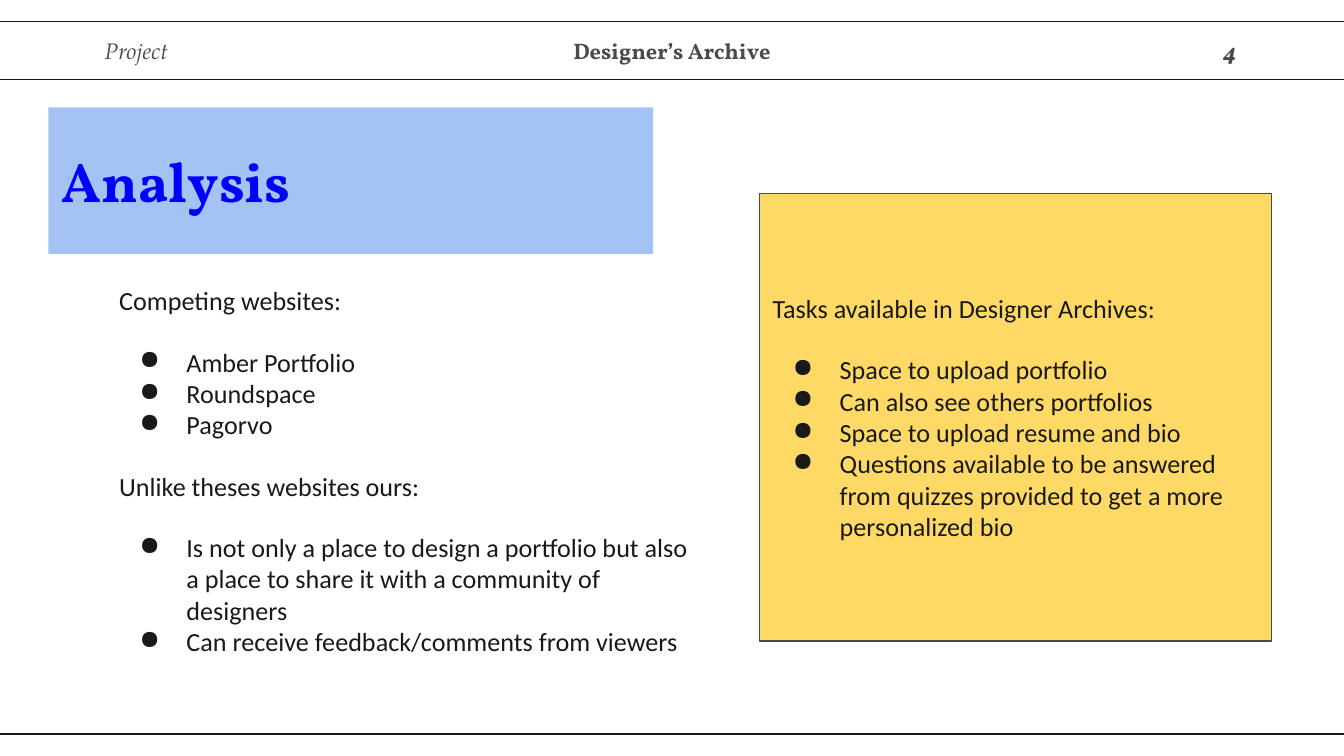
import pptx
import pptx.util
import pptx.dml.color
import pptx.enum.shapes
import pptx.enum.text
import lxml.etree

Pt = pptx.util.Pt
ALIGN = pptx.enum.text.PP_ALIGN
ANCHOR = pptx.enum.text.MSO_ANCHOR
BLACK, GREY = "191919", "4B4A4A"
BODY = {"name": "Calibri", "size": Pt(14)}
HEAD = {"name": "Vollkorn", "size": Pt(12), "bold": True}


def tint(code):
    return pptx.dml.color.RGBColor.from_string(code)


def apply(item, form):
    for key, value in form.items():
        setattr(item, key, value)


def add_box(slide, place, fill=None, line=None):
    kind = pptx.enum.shapes.MSO_SHAPE.RECTANGLE
    box = slide.shapes.add_shape(kind, *map(Pt, place))
    box.shadow.inherit = False
    if fill:
        box.fill.solid()
        box.fill.fore_color.rgb = tint(fill)
    else:
        box.fill.background()
    if line:
        box.line.color.rgb = tint(line)
        box.line.width = Pt(0.75)
    else:
        box.line.fill.background()
    return box


def add_area(slide, place):
    return slide.shapes.add_textbox(*map(Pt, place))


def set_frame(shape, anchor=ANCHOR.MIDDLE, top=7.2):
    frame = shape.text_frame
    apply(frame, {
        "word_wrap": True, "vertical_anchor": anchor,
        "margin_left": Pt(7.2), "margin_right": Pt(7.2),
        "margin_top": Pt(top), "margin_bottom": Pt(7.2),
    })
    return frame


def write(para, text, font, color, align=ALIGN.LEFT):
    para.alignment = align
    run = para.add_run()
    run.text = text
    apply(run.font, font)
    run.font.color.rgb = tint(color)


def add_dot(para):
    props = para._p.get_or_add_pPr()
    props.set("marL", str(Pt(36)))
    props.set("indent", str(Pt(-25.2)))
    space = "{http://schemas.openxmlformats.org/drawingml/2006/main}"
    color = lxml.etree.SubElement(props, space + "buClr")
    lxml.etree.SubElement(color, space + "srgbClr", val=BLACK)
    lxml.etree.SubElement(props, space + "buChar", char="●")


def write_lists(frame, groups):
    para = frame.paragraphs[0]
    for index, (lead, items) in enumerate(groups):
        if index:
            para = frame.add_paragraph()
            para.space_before = Pt(16)
        write(para, lead, BODY, BLACK)
        for order, item in enumerate(items):
            para = frame.add_paragraph()
            para.space_before = Pt(0 if order else 16)
            write(para, item, BODY, BLACK)
            add_dot(para)


def add_label(slide, left, width, text, font, align):
    frame = set_frame(add_area(slide, (left, 17.3, width, 19.4)))
    write(frame.paragraphs[0], text, font, GREY, align)


def main():
    deck = pptx.Presentation()
    apply(deck, {"slide_width": Pt(720), "slide_height": Pt(405)})
    slide = deck.slides.add_slide(deck.slide_layouts[6])

    for top, height in ((11.5, 31), (393.3, 15.8)):
        add_box(slide, (-13, top, 746, height), line=BLACK)

    add_label(slide, 49, 86.4, "Project",
              {"name": "TeX Gyre Pagella", "size": Pt(12), "italic": True},
              ALIGN.LEFT)
    add_label(slide, 299, 122, "Designer’s Archive", HEAD, ALIGN.CENTER)
    add_label(slide, 626.4, 43.2, "4",
              {**HEAD, "size": Pt(13), "italic": True}, ALIGN.RIGHT)

    title = set_frame(add_box(slide, (26, 57.5, 324, 78.5), "A4C2F4"))
    write(title.paragraphs[0], "Analysis", {**HEAD, "size": Pt(30)}, "0000FF")

    rivals = set_frame(add_area(slide, (56.8, 152.6, 324, 206)), ANCHOR.TOP, 0)
    write_lists(rivals, [
        ("Competing websites:",
         ["Amber Portfolio", "Roundspace", "Pagorvo"]),
        ("Unlike theses websites ours:",
         ["Is not only a place to design a portfolio but also a place to "
          "share it with a community of designers",
          "Can receive feedback/comments from viewers"]),
    ])

    tasks = set_frame(add_box(slide, (406.8, 103.7, 274.4, 239.7), "FFD966", GREY))
    write_lists(tasks, [
        ("Tasks available in Designer Archives:",
         ["Space to upload portfolio",
          "Can also see others portfolios",
          "Space to upload resume and bio",
          "Questions available to be answered from quizzes provided to get "
          "a more personalized bio"]),
    ])
    deck.save("out.pptx")


if __name__ == "__main__":
    main()
